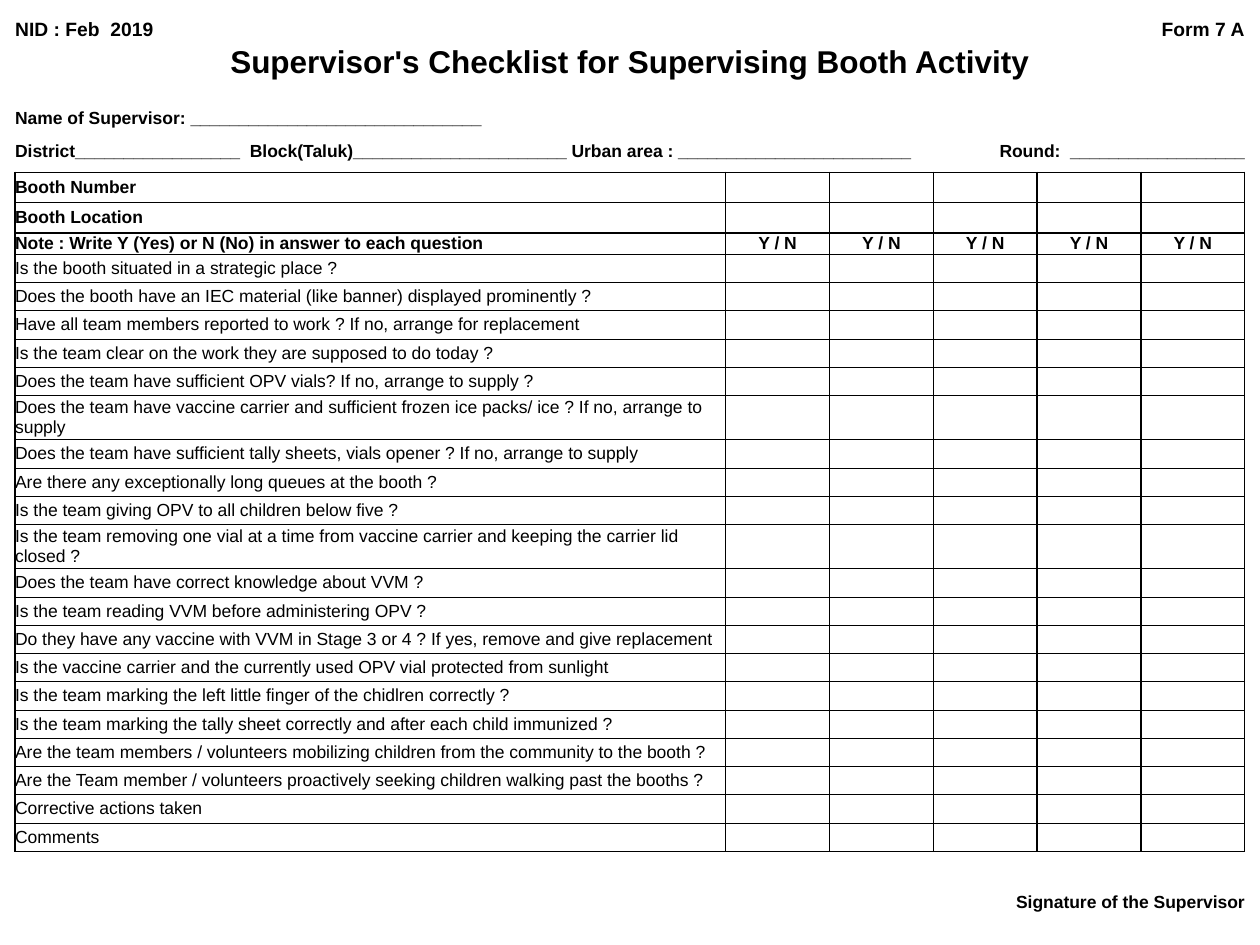
from lxml import etree
from pptx import Presentation
from pptx.dml.color import RGBColor
from pptx.enum.text import MSO_ANCHOR, PP_ALIGN
from pptx.oxml.ns import qn
from pptx.util import Inches, Pt

LEFT, MID, RIGHT = PP_ALIGN.LEFT, PP_ALIGN.CENTER, PP_ALIGN.RIGHT
CENTER = MSO_ANCHOR.MIDDLE
INK = "000000"
THIN, THICK = 0.5, 1
WIDE, FULL, MARKS = 5.64, 9.76, 5
FIRST, NOTE = 5, 7
ITEMS = [
    "Is the booth situated in a strategic place ?",
    "Does the booth have an IEC material (like banner) displayed prominently ?",
    "Have all team members reported to work ? If no, arrange for replacement",
    "Is the team clear on the work they are supposed to do today ?",
    "Does the team have sufficient OPV vials? If no, arrange to supply ?",
    "Does the team have vaccine carrier and sufficient frozen ice packs/ ice ? If no, arrange to supply",
    "Does the team have sufficient tally sheets, vials opener ? If no, arrange to supply",
    "Are there any exceptionally long queues at the booth ?",
    "Is the team giving OPV to all children below five ?",
    "Is the team removing one vial at a time from vaccine carrier and keeping the carrier lid closed ?",
    "Does the team have correct knowledge about VVM ?",
    "Is the team reading VVM before administering OPV ?",
    "Do they have any vaccine with VVM in Stage 3 or 4 ? If yes, remove and give replacement",
    "Is the vaccine carrier and the currently used OPV vial protected from sunlight",
    "Is the team marking the left little finger of the chidlren correctly ?",
    "Is the team marking the tally sheet correctly and after each child immunized ?",
    "Are the team members / volunteers mobilizing children from the community to the booth ?",
    "Are the Team member / volunteers proactively seeking children walking past the booths ?",
    "Corrective actions taken",
    "Comments",
]
LAST = NOTE + len(ITEMS)
SIGN = LAST + 2
LONG = 90
HEADS = [0.22, 0.29, 0.22, 0.17, 0.34, 0.24, 0.24, 0.17]
FEET = [0.17, 0.47]
# row, column, columns spanned, text, size, alignment
LABELS = [
    (0, 0, 1, "NID : Feb  2019", 11, LEFT),
    (0, 4, 2, "Form 7 A", 11, RIGHT),
    (1, 0, 6, "Supervisor's Checklist for Supervising Booth Activity", 18, MID),
    (3, 0, 1, "Name of Supervisor: ______________________________", 10, LEFT),
    (4, 0, 3, "District_________________  Block(Taluk)______________________"
              " Urban area : ________________________", 10, LEFT),
    (4, 3, 3, "Round:  __________________", 10, RIGHT),
    (5, 0, 1, "Booth Number", 10, LEFT),
    (6, 0, 1, "Booth Location", 10, LEFT),
    (NOTE, 0, 1, "Note : Write Y (Yes) or N (No) in answer to each question", 10, LEFT),
    (SIGN, 3, 3, "Signature of the Supervisor", 10, RIGHT),
]


def color(code):
    """Return the colour of a hex string."""
    return RGBColor.from_string(code)


def heights():
    """Return the row heights in inches."""
    short = 4.04 / 18
    return HEADS + [0.35 if len(t) > LONG else short for t in ITEMS] + FEET


def edges(row):
    """Return the left, right, top and bottom line widths of a row."""
    if FIRST <= row <= LAST:
        top = THICK if row in (FIRST, NOTE) else THIN
        base = THICK if row in (NOTE - 1, LAST) else THIN
        return THICK, THICK, top, base
    return 0, 0, THICK * (row == LAST + 1), THICK * (row == FIRST - 1)


def border(cell, sides):
    """Draw the four sides of a cell, zero meaning no line."""
    props = cell._tc.get_or_add_tcPr()
    for i, (name, width) in enumerate(zip("LRTB", sides)):
        line = etree.Element(qn(f"a:ln{name}"), w=str(Pt(width)))
        if width:
            fill = etree.SubElement(line, qn("a:solidFill"))
            etree.SubElement(fill, qn("a:srgbClr"), val=INK)
        else:
            etree.SubElement(line, qn("a:noFill"))
        props.insert(i, line)


def clear(cell, row):
    """Give a cell no fill, no margins, small text and its borders."""
    cell.fill.background()
    cell.vertical_anchor = CENTER
    cell.margin_left = cell.margin_right = 0
    cell.margin_top = cell.margin_bottom = 0
    para = cell.text_frame.paragraphs[0]
    etree.SubElement(para._p, qn("a:endParaRPr"), sz="1000")
    border(cell, edges(row))


def write(cell, text, size=10, align=LEFT, bold=True):
    """Write one line of text into a cell."""
    para = cell.text_frame.paragraphs[0]
    para.add_run().text = text
    para.alignment = align
    font = para.font
    font.name, font.size, font.bold = "Arial", Pt(size), bold
    font.color.rgb = color(INK)


def grid(slide):
    """Add the empty form table and return it."""
    rows = heights()
    frame = slide.shapes.add_table(
        len(rows), MARKS + 1, Inches(0.12), Inches(0.13),
        Inches(FULL), Inches(sum(rows)))
    table = frame.table
    table.first_row = table.horz_banding = False
    for i, col in enumerate(table.columns):
        col.width = Inches((FULL - WIDE) / MARKS if i else WIDE)
    for i, high in enumerate(rows):
        table.rows[i].height = Inches(high)
        for cell in table.rows[i].cells:
            clear(cell, i)
    return table


def main():
    """Build the checklist form."""
    deck = Presentation()
    deck.slide_width, deck.slide_height = Inches(10), Inches(7.5)
    slide = deck.slides.add_slide(deck.slide_layouts[6])
    table = grid(slide)
    for row, col, span, text, size, align in LABELS:
        cell = table.cell(row, col)
        if span > 1:
            cell.merge(table.cell(row, col + span - 1))
        write(cell, text, size, align)
    for col in range(1, MARKS + 1):
        write(table.cell(NOTE, col), "Y / N", align=MID)
    for row, text in enumerate(ITEMS, NOTE + 1):
        write(table.cell(row, 0), text, bold=False)
    deck.save("out.pptx")


if __name__ == "__main__":
    main()
